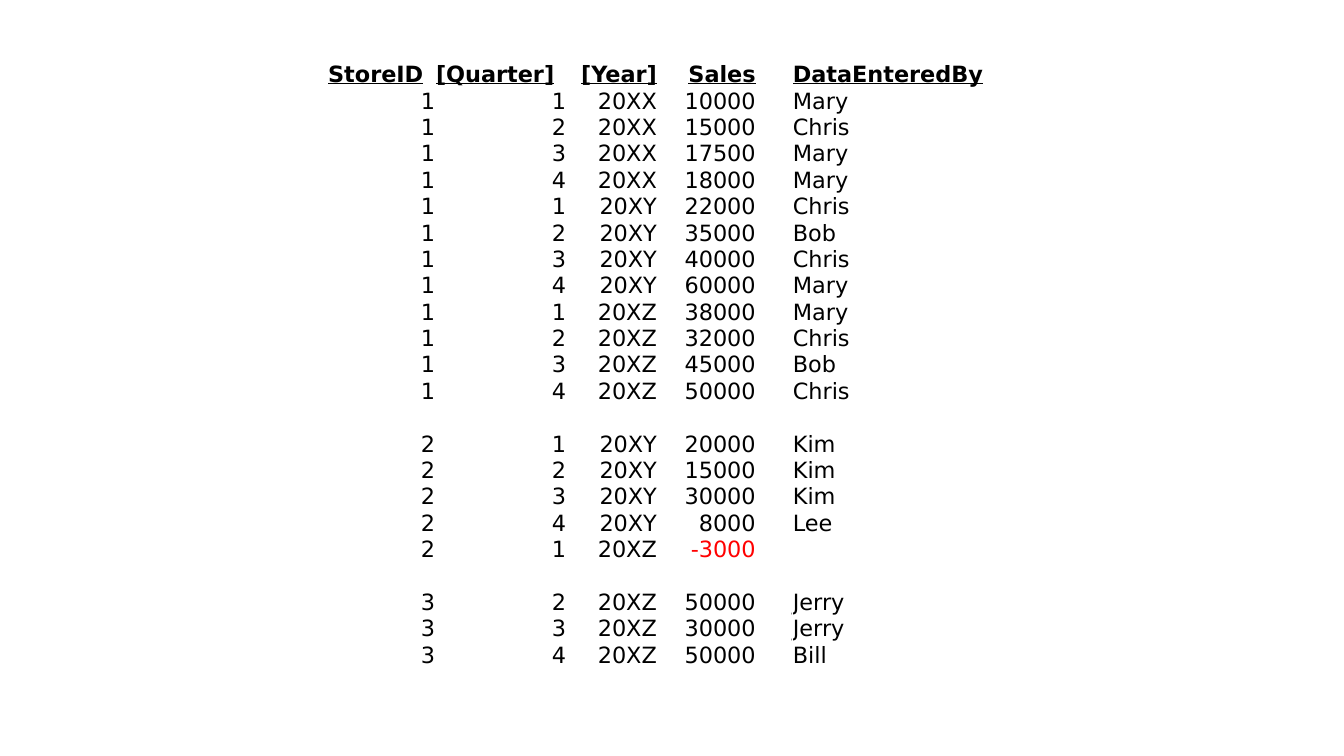
from dataclasses import dataclass
from lxml.etree import SubElement
from pptx import Presentation
from pptx.dml.color import RGBColor
from pptx.enum.text import MSO_ANCHOR, PP_ALIGN
from pptx.oxml.ns import qn
from pptx.table import _Cell
from pptx.util import Inches, Pt

BLACK = RGBColor(0x00, 0x00, 0x00)
RED = RGBColor(0xFF, 0x00, 0x00)
FONT = "DejaVu Sans"
SIZE = Pt(16)
INSET = Pt(0.36)
ROW = Inches(0.22)
YEARS = ("20XX", "20XY", "20XZ")


@dataclass(frozen=True)
class Column:
    title: str
    width: float
    head: PP_ALIGN
    body: PP_ALIGN


@dataclass(frozen=True)
class Store:
    number: int
    start: int  # quarters since the first quarter of the first year
    sales: tuple[int, ...]
    names: tuple[str, ...]

    def rows(self) -> list[tuple[str, ...]]:
        lines = []
        for turn, (sum_, name) in enumerate(zip(self.sales, self.names), self.start):
            year, quarter = divmod(turn, 4)
            lines.append((str(self.number), str(quarter + 1), YEARS[year],
                          str(sum_), "", name))
        return lines


LEFT, RIGHT = PP_ALIGN.LEFT, PP_ALIGN.RIGHT
COLUMNS = (
    Column("StoreID", 1.07, LEFT, RIGHT),
    Column("[Quarter]", 1.3, LEFT, RIGHT),
    Column("[Year]", 0.9, RIGHT, RIGHT),
    Column("Sales", 0.98, RIGHT, RIGHT),
    Column("", 0.36, LEFT, LEFT),
    Column("DataEnteredBy", 3.02, LEFT, LEFT),
)
STORES = (
    Store(1, 0,
          (10000, 15000, 17500, 18000, 22000, 35000,
           40000, 60000, 38000, 32000, 45000, 50000),
          ("Mary", "Chris", "Mary", "Mary", "Chris", "Bob",
           "Chris", "Mary", "Mary", "Chris", "Bob", "Chris")),
    Store(2, 4, (20000, 15000, 30000, 8000, -3000),
          ("Kim", "Kim", "Kim", "Lee", "")),
    Store(3, 9, (50000, 30000, 50000), ("Jerry", "Jerry", "Bill")),
)


def fill_cell(cell: _Cell, text: str, align: PP_ALIGN, head: bool) -> None:
    cell.fill.background()
    cell.vertical_anchor = MSO_ANCHOR.BOTTOM
    cell.margin_left = cell.margin_right = cell.margin_top = INSET
    cell.margin_bottom = 0
    para = cell.text_frame.paragraphs[0]
    para.alignment = align
    if not text:
        # An empty cell keeps the line height of the other cells
        end = SubElement(para._p, qn("a:endParaRPr"), sz=str(int(SIZE.pt * 100)))
        SubElement(end, qn("a:latin"), typeface=FONT)
        return
    para.text = text
    font = para.runs[0].font
    font.name, font.size = FONT, SIZE
    font.bold = font.underline = head
    font.color.rgb = RED if text.startswith("-") else BLACK


def main() -> None:
    deck = Presentation()
    deck.slide_width, deck.slide_height = Inches(13.33), Inches(7.5)
    slide = deck.slides.add_slide(deck.slide_layouts[6])

    # Heading, then the stores with an empty row between them
    lines = [tuple(col.title for col in COLUMNS)]
    for place, store in enumerate(STORES):
        if place:
            lines.append(("",) * len(COLUMNS))
        lines.extend(store.rows())

    # Sales table
    frame = slide.shapes.add_table(
        len(lines), len(COLUMNS), Inches(3.25), Inches(0.61),
        Inches(7.64), ROW * len(lines))
    table = frame.table
    table.first_row = table.horz_banding = False
    for grid, col in zip(table.columns, COLUMNS):
        grid.width = Inches(col.width)
    for r, line in enumerate(lines):
        table.rows[r].height = ROW
        for c, (text, col) in enumerate(zip(line, COLUMNS)):
            head = r == 0
            fill_cell(table.cell(r, c), text, col.head if head else col.body, head)
    frame.height = Inches(6.28)

    deck.save("out.pptx")


if __name__ == "__main__":
    main()
